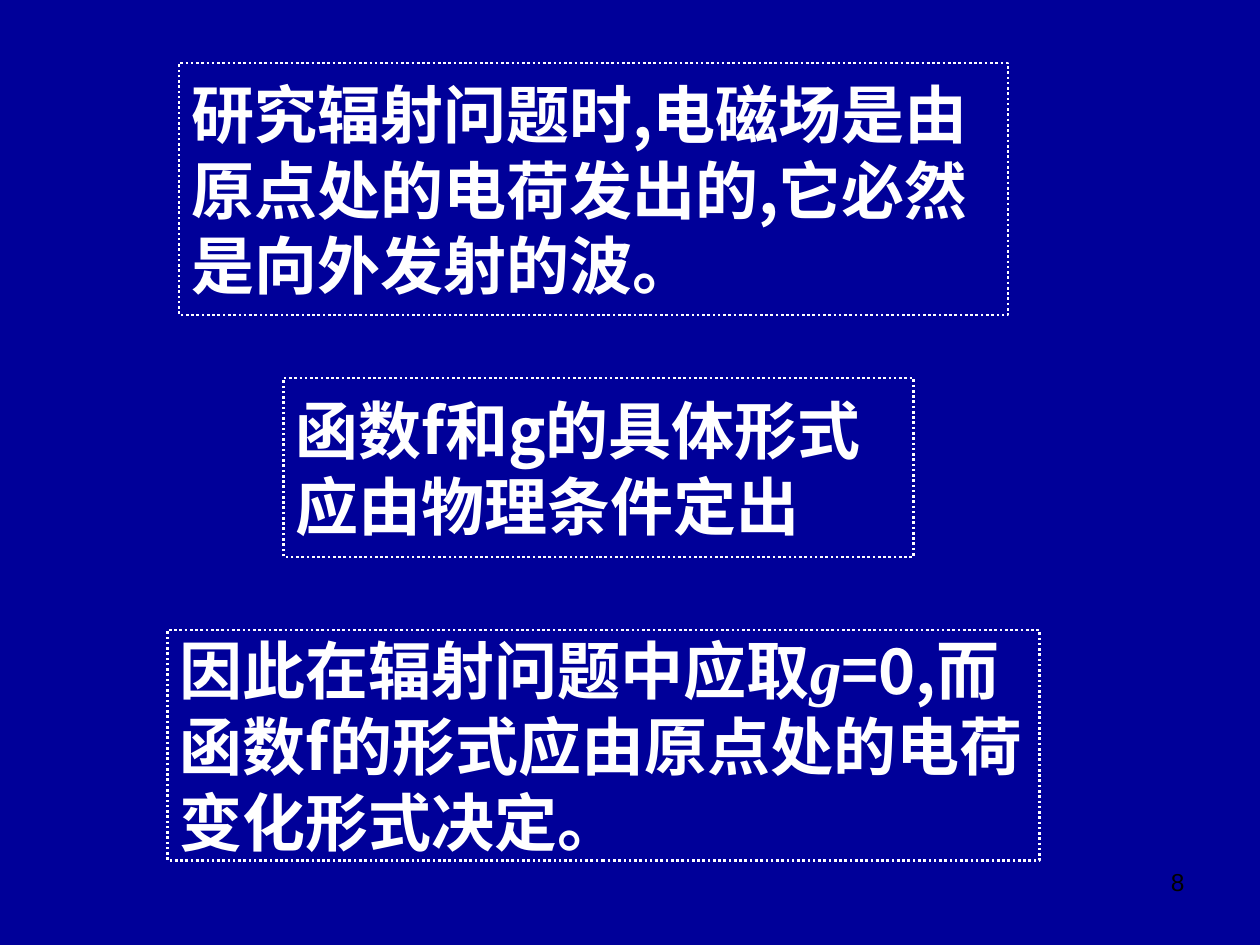
import pptx
import pptx.dml.color
import pptx.enum.dml
import pptx.enum.shapes
import pptx.enum.text
import pptx.oxml
import pptx.oxml.ns
import pptx.util
from pptx.util import Inches, Pt

BACKGROUND, WHITE, BLACK = "000099", "FFFFFF", "000000"
CHINESE, MATH, NUMBER = "Noto Sans CJK SC", "Times New Roman", "Arial"
TAB_COUNT = 8

# Each box: left, top, width, height, then runs of (text, is a math symbol)
STATEMENTS = [
    ((1.33, 5, 6.92, 1.83), [
        ("因此在辐射问题中应取", False),
        ("g", True),
        ("=0,而函数f的形式应由原点处的电荷变化形式决定。", False),
    ]),
    ((2.25, 3, 5, 1.42), [("函数f和g的具体形式应由物理条件定出", False)]),
    ((1.42, 0.5, 6.58, 2), [
        ("研究辐射问题时,电磁场是由原点处的电荷发出的,它必然是向外发射的波。", False),
    ]),
]
PAGE_NUMBER = ((7.17, 6.83, 2.33, 0.52), "8")


def color(hex_string):
    return pptx.dml.color.RGBColor.from_string(hex_string)


def add_run(paragraph, text, font_name, size, hex_string):
    run = paragraph.add_run()
    run.text = text
    run.font.name = font_name
    run.font.size = Pt(size)
    run.font.color.rgb = color(hex_string)
    east_asian = pptx.oxml.parse_xml(
        f'<a:ea {pptx.oxml.ns.nsdecls("a")} typeface="{font_name}"/>')
    run.font._element.find(pptx.oxml.ns.qn("a:latin")).addnext(east_asian)
    return run


def add_tabs(paragraph):
    """Put a left tab stop at every inch."""
    stops = "".join(f'<a:tab pos="{Inches(inch)}" algn="l"/>' for inch in range(TAB_COUNT))
    paragraph._p.get_or_add_pPr().append(pptx.oxml.parse_xml(
        f'<a:tabLst {pptx.oxml.ns.nsdecls("a")}>{stops}</a:tabLst>'))


def add_statement(slide, place, runs):
    shape = slide.shapes.add_shape(
        pptx.enum.shapes.MSO_SHAPE.RECTANGLE, *map(Inches, place))
    shape.shadow.inherit = False
    shape.fill.background()
    shape.line.color.rgb = color(WHITE)
    shape.line.width = Pt(1.5)
    shape.line.dash_style = pptx.enum.dml.MSO_LINE.ROUND_DOT
    frame = shape.text_frame
    frame.word_wrap = True
    frame.vertical_anchor = pptx.enum.text.MSO_ANCHOR.MIDDLE
    paragraph = frame.paragraphs[0]
    paragraph.alignment = pptx.enum.text.PP_ALIGN.LEFT
    add_tabs(paragraph)
    for text, is_math in runs:
        run = add_run(paragraph, text, MATH if is_math else CHINESE, 36, WHITE)
        run.font.bold = True
        run.font.italic = is_math


def add_page_number(slide, place, text):
    frame = slide.shapes.add_textbox(*map(Inches, place)).text_frame
    frame.word_wrap = True
    paragraph = frame.paragraphs[0]
    paragraph.alignment = pptx.enum.text.PP_ALIGN.RIGHT
    add_run(paragraph, text, NUMBER, 14, BLACK)


def main():
    presentation = pptx.Presentation()
    presentation.slide_width = Inches(10)
    presentation.slide_height = Inches(7.5)
    slide = presentation.slides.add_slide(presentation.slide_layouts[6])
    slide.background.fill.solid()
    slide.background.fill.fore_color.rgb = color(BACKGROUND)
    for place, runs in STATEMENTS:
        add_statement(slide, place, runs)
    add_page_number(slide, *PAGE_NUMBER)
    presentation.save("out.pptx")


if __name__ == "__main__":
    main()
